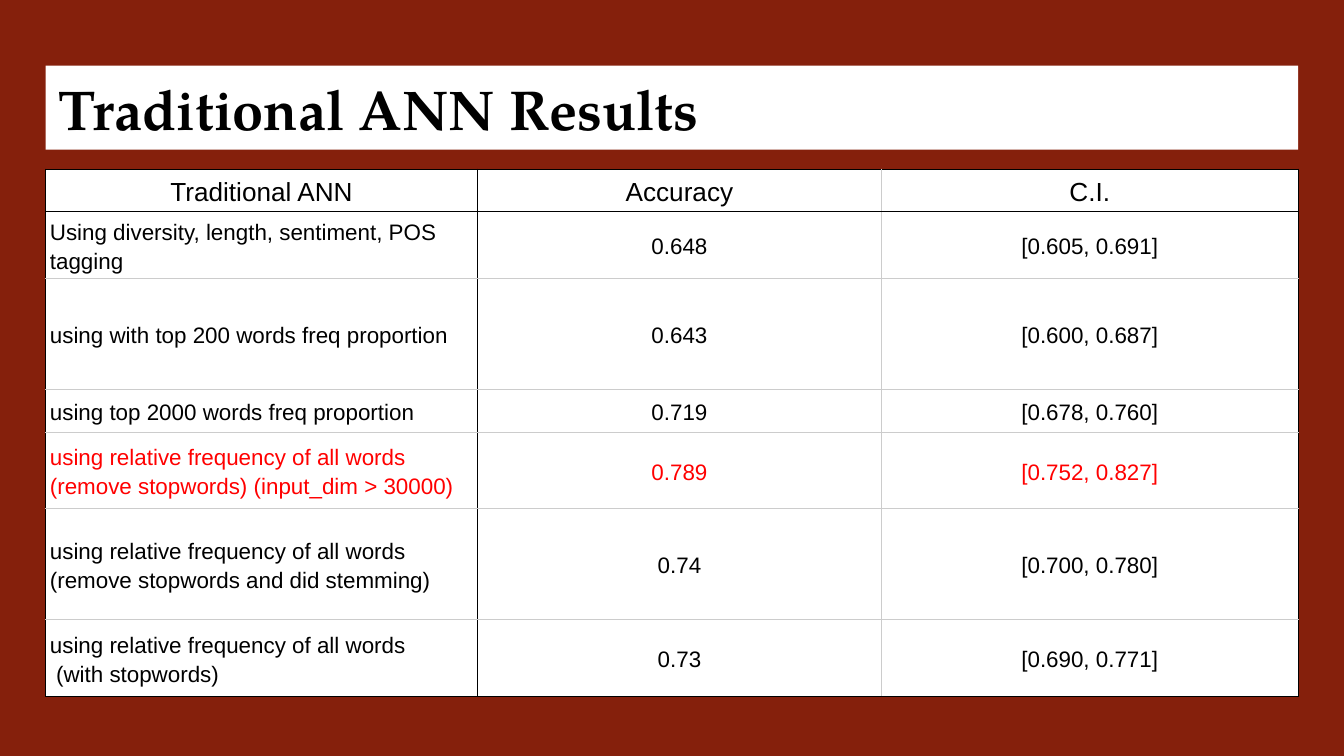
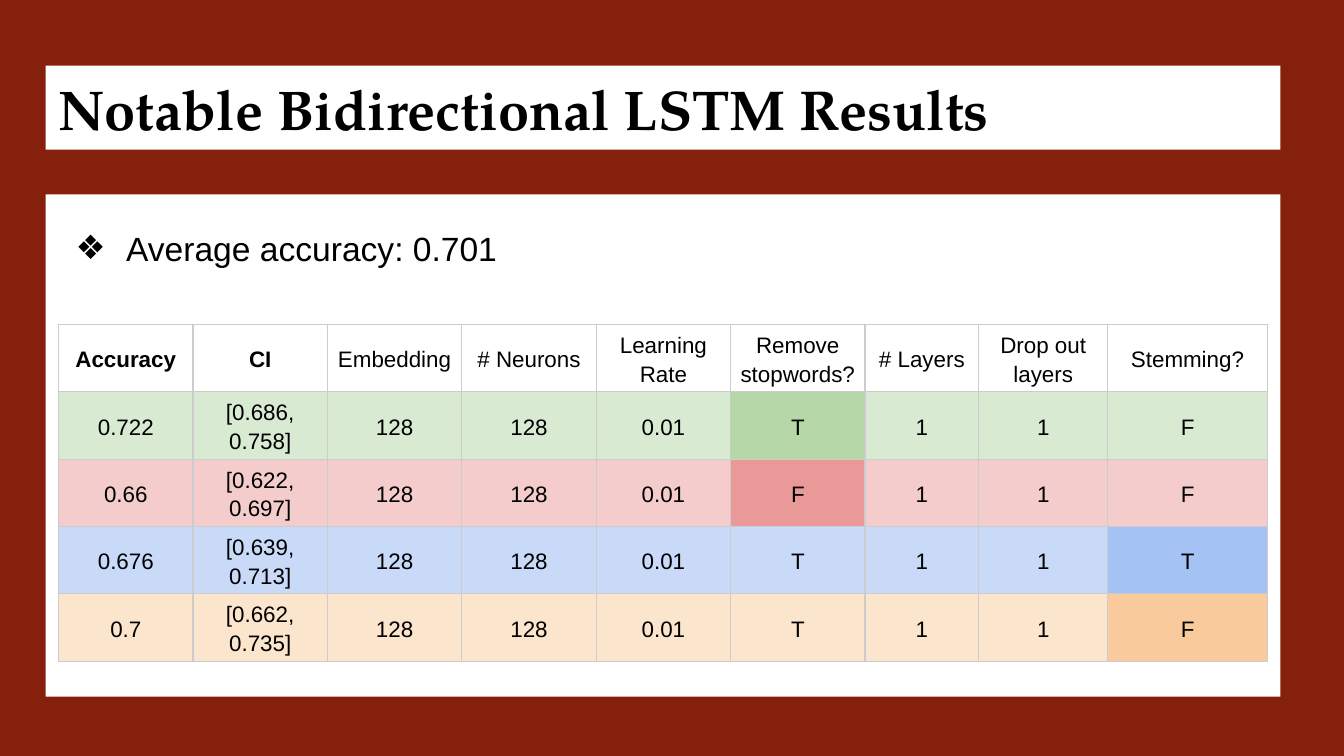
from dataclasses import dataclass

from lxml.etree import SubElement
from pptx import Presentation
from pptx.dml.color import RGBColor as RGB
from pptx.enum.text import MSO_ANCHOR as Anchor, PP_ALIGN as Align
from pptx.oxml.ns import qn
from pptx.util import Pt


@dataclass(frozen=True)
class Theme:
    backdrop: str = "85200C"
    panel: str = "FFFFFF"
    ink: str = "000000"
    highlight: str = "FF0000"
    rule: str = "CCCCCC"
    title_font: str = "TeX Gyre Pagella"
    body_font: str = "Arial"
    title_size: int = 30
    bullet_size: int = 18
    head_size: int = 14
    cell_size: int = 12
    margin: float = 24.5


theme = Theme()


def add_panel(page, top, width, height, text, face, size):
    box = page.shapes.add_textbox(Pt(theme.margin), Pt(top), Pt(width), Pt(height))
    box.fill.solid()
    box.fill.fore_color.rgb = RGB.from_string(theme.panel)
    frame = box.text_frame
    frame.word_wrap = True
    frame.margin_left = frame.margin_right = Pt(7.2)
    frame.margin_top = frame.margin_bottom = Pt(7.2)
    para = frame.paragraphs[0]
    span = para.add_run()
    span.text = text
    span.font.name = face
    span.font.size = Pt(size)
    span.font.color.rgb = RGB.from_string(theme.ink)
    return frame


def add_grid(page, left, top, widths, heights, rows, dark_across=(), dark_down=()):
    table = page.shapes.add_table(
        len(rows), len(widths), Pt(left), Pt(top), Pt(sum(widths)), Pt(sum(heights))
    ).table
    table.first_row = table.horz_banding = False
    for column, width in zip(table.columns, widths):
        column.width = Pt(width)
    for r, (height, texts) in enumerate(zip(heights, rows)):
        table.rows[r].height = Pt(height)
        for c, text in enumerate(texts):
            cell = table.cell(r, c)
            cell.vertical_anchor = Anchor.MIDDLE
            cell.margin_left = cell.margin_right = Pt(2.25)
            cell.margin_top = cell.margin_bottom = Pt(1.5)
            edges = {
                "a:lnL": c in dark_down,
                "a:lnR": c + 1 in dark_down,
                "a:lnT": r in dark_across,
                "a:lnB": r + 1 in dark_across,
            }
            for tag, dark in edges.items():
                line = SubElement(cell._tc.get_or_add_tcPr(), qn(tag), w=str(Pt(0.75)))
                paint = SubElement(line, qn("a:solidFill"))
                SubElement(paint, qn("a:srgbClr"), val=theme.ink if dark else theme.rule)
            cell.fill.background()
            for i, part in enumerate(text.split("\n")):
                frame = cell.text_frame
                para = frame.add_paragraph() if i else frame.paragraphs[0]
                para.alignment = Align.CENTER
                para.line_spacing = 1.15
                span = para.add_run()
                span.text = part
                span.font.name = theme.body_font
                span.font.size = Pt(theme.cell_size)
                span.font.color.rgb = RGB.from_string(theme.ink)
    return table


deck = Presentation()
deck.slide_width, deck.slide_height = Pt(720), Pt(405)

pages = []
for title, width in (
    ("Traditional ANN Results", 671),
    ("Notable Bidirectional LSTM Results", 661.5),
):
    page = deck.slides.add_slide(deck.slide_layouts[6])
    page.background.fill.solid()
    page.background.fill.fore_color.rgb = RGB.from_string(theme.backdrop)
    frame = add_panel(page, 35.2, width, 45, title, theme.title_font, theme.title_size)
    frame.vertical_anchor = Anchor.MIDDLE
    frame.paragraphs[0].runs[0].font.bold = True
    pages.append(page)
ann_page, lstm_page = pages

ann_rows = [
    ("Traditional ANN", "Accuracy", "C.I."),
    ("Using diversity, length, sentiment, POS tagging", "0.648", "[0.605, 0.691]"),
    ("using with top 200 words freq proportion", "0.643", "[0.600, 0.687]"),
    ("using top 2000 words freq proportion", "0.719", "[0.678, 0.760]"),
    (
        "using relative frequency of all words (remove stopwords) (input_dim > 30000)",
        "0.789",
        "[0.752, 0.827]",
    ),
    (
        "using relative frequency of all words (remove stopwords and did stemming)",
        "0.74",
        "[0.700, 0.780]",
    ),
    ("using relative frequency of all words\n (with stopwords)", "0.73", "[0.690, 0.771]"),
]
best_row = 4
ann_table = add_grid(
    ann_page,
    theme.margin,
    90.7,
    [231.3, 216.5, 223.2],
    [22.5, 33.8, 59.5, 22.8, 41, 59.5, 41],
    ann_rows,
    dark_across=(0, 1, len(ann_rows)),
    dark_down=(0, 1, 3),
)
for r in range(len(ann_rows)):
    for c in range(3):
        cell = ann_table.cell(r, c)
        cell.fill.solid()
        cell.fill.fore_color.rgb = RGB.from_string(theme.panel)
        for para in cell.text_frame.paragraphs:
            if r and c == 0:
                para.alignment = Align.LEFT
            for span in para.runs:
                if r == 0:
                    span.font.size = Pt(theme.head_size)
                if r == best_row:
                    span.font.color.rgb = RGB.from_string(theme.highlight)

frame = add_panel(
    lstm_page, 104.2, 661.5, 269, "Average accuracy: 0.701", theme.body_font, theme.bullet_size
)
para = frame.paragraphs[0]
para.line_spacing = 1.5
props = para._p.get_or_add_pPr()
props.set("marL", str(Pt(36)))
props.set("indent", str(Pt(-27)))
SubElement(SubElement(props, qn("a:buClr")), qn("a:srgbClr"), val=theme.ink)
SubElement(props, qn("a:buFont"), typeface=theme.body_font)
SubElement(props, qn("a:buChar"), char="❖")

lstm_head = (
    "Accuracy", "CI", "Embedding", "# Neurons", "Learning Rate",
    "Remove stopwords?", "# Layers", "Drop out layers", "Stemming?",
)
stopwords_column, stemming_column = 5, 8
lstm_runs = [
    ("0.722", "[0.686, 0.758]", "T", "F", "D9EAD3", "B6D7A8", stopwords_column),
    ("0.66", "[0.622, 0.697]", "F", "F", "F4CCCC", "EA9999", stopwords_column),
    ("0.676", "[0.639, 0.713]", "T", "T", "C9DAF8", "A4C2F4", stemming_column),
    ("0.7", "[0.662, 0.735]", "T", "F", "FCE5CD", "F9CB9C", stemming_column),
]
lstm_rows = [lstm_head] + [
    (accuracy, interval, "128", "128", "0.01", stopwords, "1", "1", stemming)
    for accuracy, interval, stopwords, stemming, *_ in lstm_runs
]
lstm_table = add_grid(
    lstm_page, 31.4, 173.8, [72] * 6 + [61, 69, 85.7], [33.9] * len(lstm_rows), lstm_rows
)
for c in (0, 1):
    lstm_table.cell(0, c).text_frame.paragraphs[0].runs[0].font.bold = True
for r, (*_, tint, accent, accent_column) in enumerate(lstm_runs, start=1):
    for c in range(len(lstm_head)):
        fill = lstm_table.cell(r, c).fill
        fill.solid()
        fill.fore_color.rgb = RGB.from_string(accent if c == accent_column else tint)

deck.save("out.pptx")
